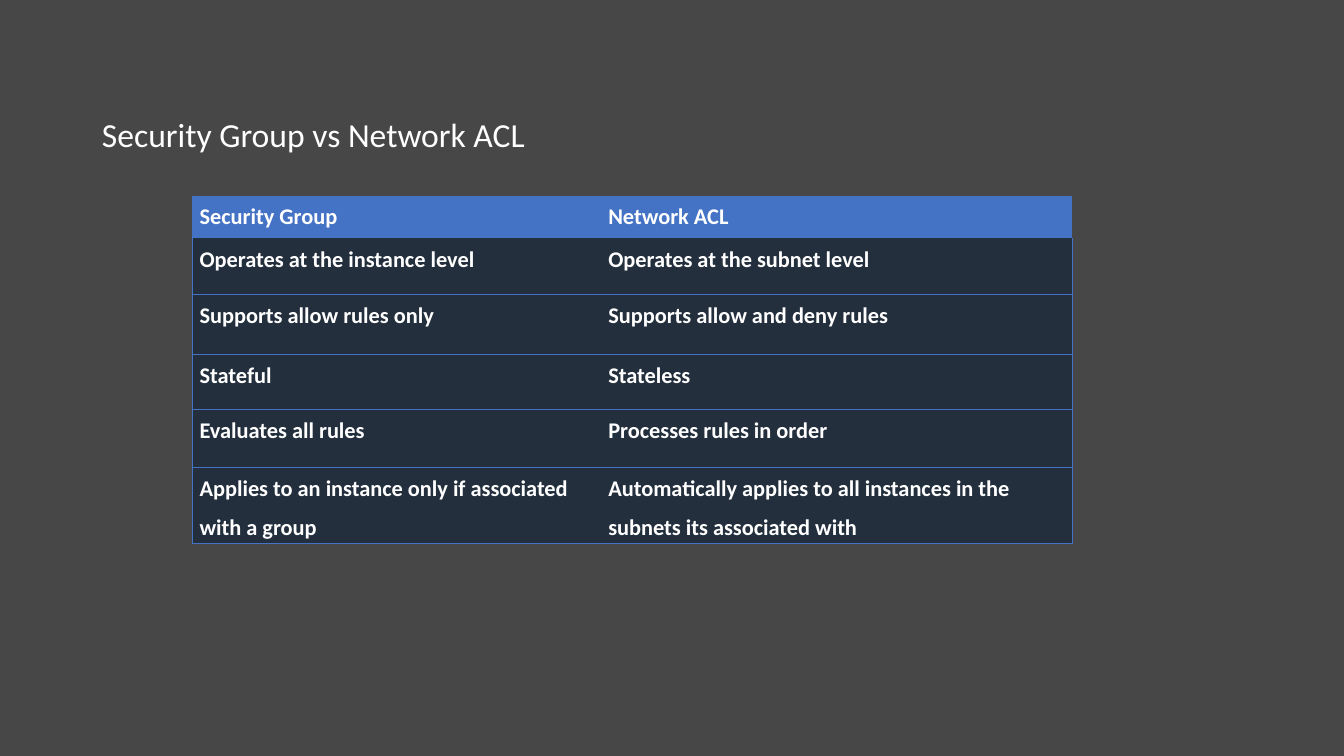
from lxml.etree import SubElement
from pptx import Presentation
from pptx.dml.color import RGBColor
from pptx.enum.text import MSO_ANCHOR, MSO_AUTO_SIZE, PP_ALIGN
from pptx.oxml.ns import qn
from pptx.util import Cm, Pt

COLORS = {
    "background": "474747",
    "header": "4472C4",
    "body": "232F3D",
    "border": "4472C4",
    "text": "FFFFFF",
}
NO_STYLE_NO_GRID = "{2D5ABB26-0587-4C30-8999-92F81FD0307C}"

COMPARISON = [
    ("Security Group", "Network ACL"),
    ("Operates at the instance level", "Operates at the subnet level"),
    ("Supports allow rules only", "Supports allow and deny rules"),
    ("Stateful", "Stateless"),
    ("Evaluates all rules", "Processes rules in order"),
    ("Applies to an instance only if associated\nwith a group",
     "Automatically applies to all instances in the\nsubnets its associated with"),
]
COLUMN_WIDTHS = [10, 12.17]
COLUMN_INDENTS = [0.18, 0.48]
ROW_HEIGHTS = [1.07, 1.42, 1.5, 1.4, 1.45, 1.93]


def style_paragraph(paragraph, size, bold):
    """Set the font shared by the title and the table."""
    paragraph.font.name = "Calibri"
    paragraph.font.size = Pt(size)
    paragraph.font.bold = bold
    paragraph.font.color.rgb = RGBColor.from_string(COLORS["text"])


def add_borders(cell, sides):
    """Draw thin lines on the given sides, listed in the order L, R, T, B."""
    properties = cell._tc.get_or_add_tcPr()
    for position, side in enumerate(sides):
        line = SubElement(properties, qn(f"a:ln{side}"), w=str(Pt(0.75)))
        fill = SubElement(line, qn("a:solidFill"))
        SubElement(fill, qn("a:srgbClr"), val=COLORS["border"])
        properties.insert(position, line)


presentation = Presentation()
presentation.slide_width = Cm(33.87)
presentation.slide_height = Cm(19.05)
slide = presentation.slides.add_slide(presentation.slide_layouts[5])
slide.background.fill.solid()
slide.background.fill.fore_color.rgb = RGBColor.from_string(COLORS["background"])

# Title
title = slide.shapes.title
title.left, title.top, title.width, title.height = Cm(2.54), Cm(2.84), Cm(10.72), Cm(1.09)
title.text = "Security Group vs Network ACL"
title_frame = title.text_frame
title_frame.auto_size = MSO_AUTO_SIZE.NONE
title_frame.vertical_anchor = MSO_ANCHOR.TOP
title_frame.margin_left = title_frame.margin_top = Cm(0.03)
title_frame.margin_right = title_frame.margin_bottom = 0
title_frame.paragraphs[0].alignment = PP_ALIGN.LEFT
style_paragraph(title_frame.paragraphs[0], 24, False)

# Comparison table
comparison = slide.shapes.add_table(
    len(COMPARISON), len(COLUMN_WIDTHS), Cm(4.85), Cm(4.93),
    Cm(sum(COLUMN_WIDTHS)), Cm(sum(ROW_HEIGHTS))).table
comparison.horz_banding = False
comparison._tbl.tblPr.find(qn("a:tableStyleId")).text = NO_STYLE_NO_GRID
for column, width in zip(comparison.columns, COLUMN_WIDTHS):
    column.width = Cm(width)

for row_index, statements in enumerate(COMPARISON):
    comparison.rows[row_index].height = Cm(ROW_HEIGHTS[row_index])
    is_header = row_index == 0
    for column_index, statement in enumerate(statements):
        cell = comparison.cell(row_index, column_index)
        cell.text = statement
        cell.margin_left = Cm(COLUMN_INDENTS[column_index])
        cell.margin_top = Cm(0.2)
        cell.margin_right = cell.margin_bottom = 0
        cell.fill.solid()
        cell.fill.fore_color.rgb = RGBColor.from_string(
            COLORS["header" if is_header else "body"])
        for line_index, paragraph in enumerate(cell.text_frame.paragraphs):
            style_paragraph(paragraph, 16, True)
            if line_index > 0:
                paragraph.space_before = Pt(8.7)
        if not is_header:
            outer_side = "LR"[column_index]
            add_borders(cell, [outer_side, "B"])

presentation.save("out.pptx")
